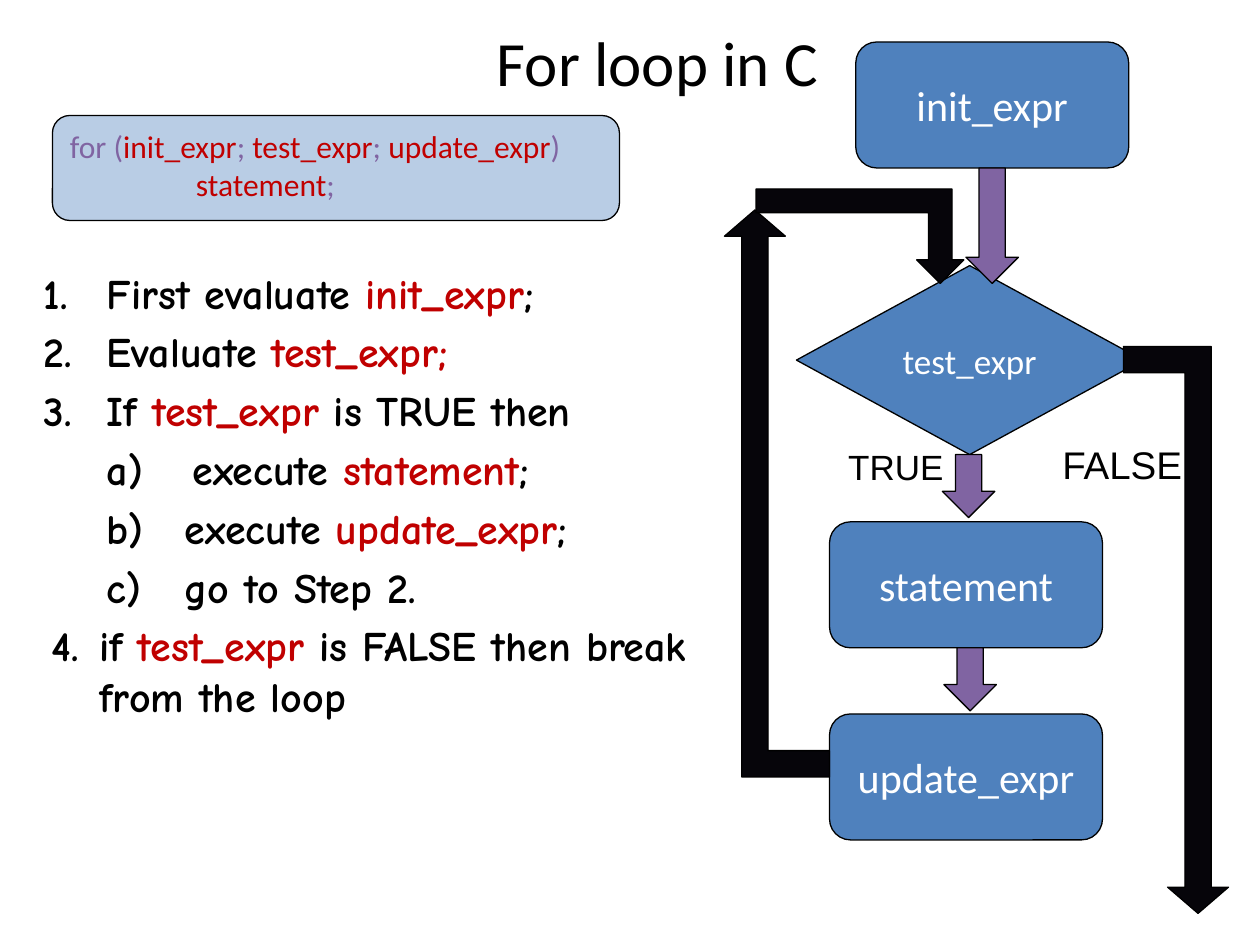
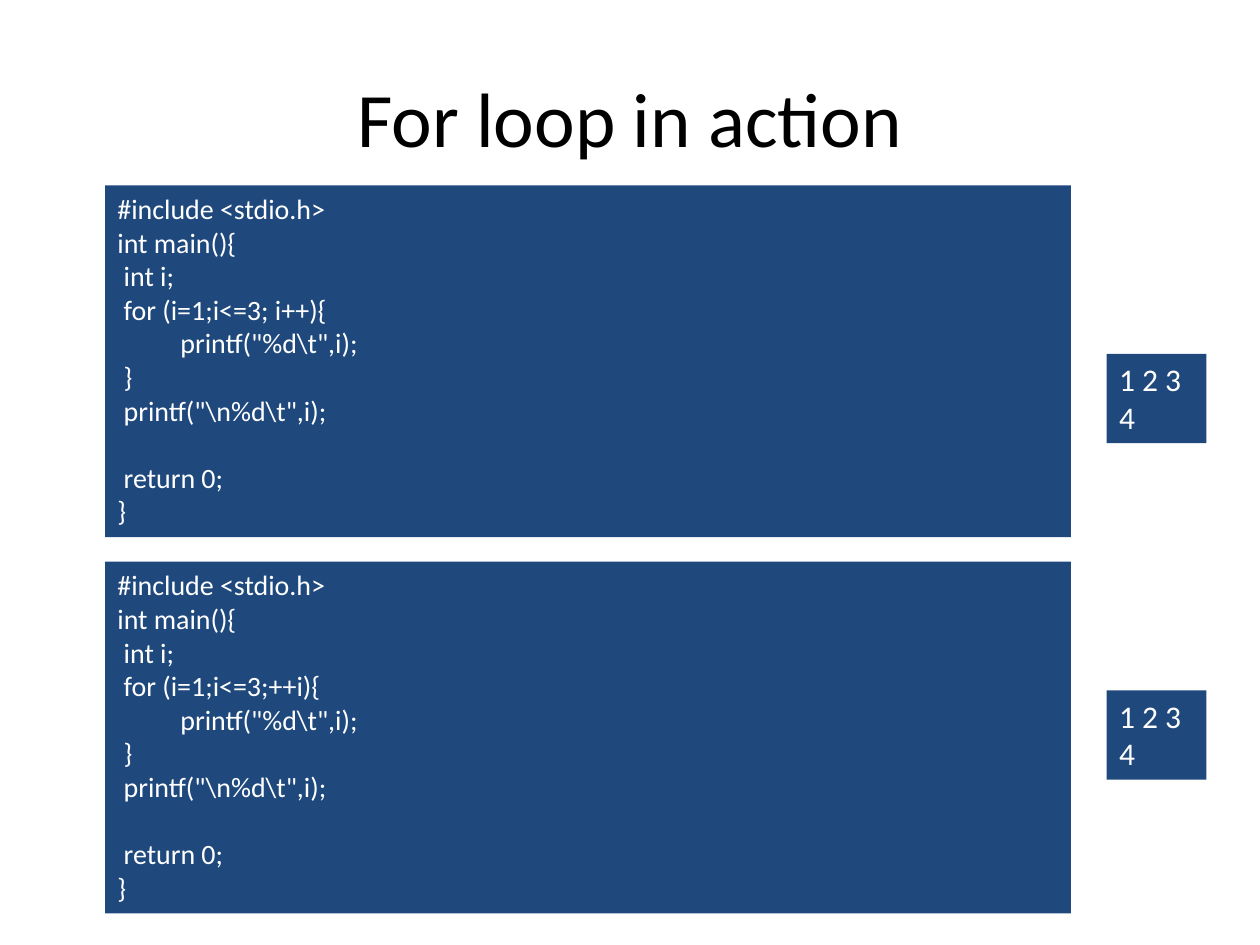
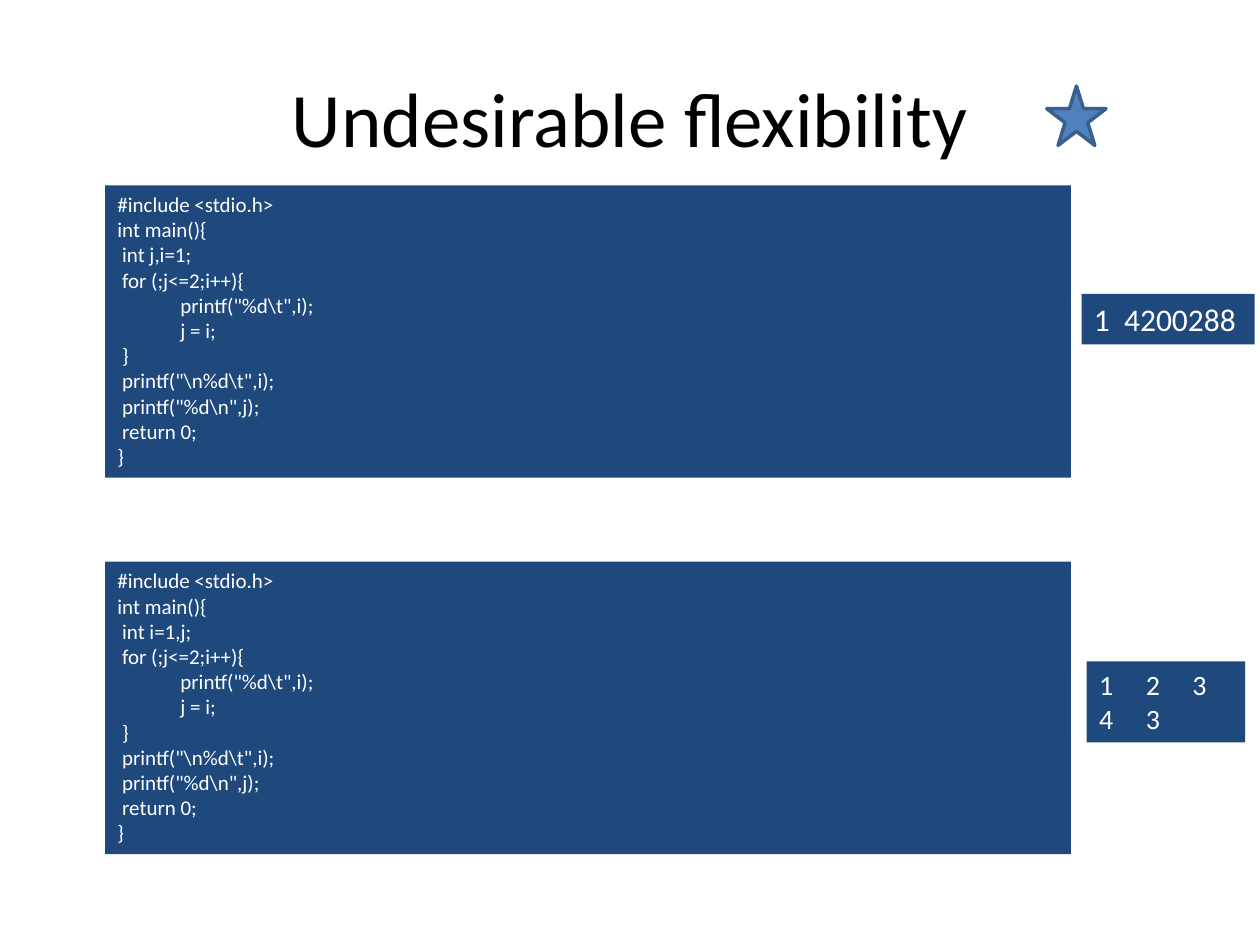
from collections import namedtuple

from lxml.etree import SubElement
from pptx import Presentation
from pptx.dml.color import RGBColor
from pptx.enum.shapes import MSO_SHAPE as Preset
from pptx.enum.text import MSO_ANCHOR as Anchor, PP_ALIGN as Align
from pptx.oxml.ns import qn
from pptx.util import Inches, Pt

CELL = 10 / 24  # the slide is a grid of 24 columns by 18 rows
BLACK, WHITE, RED = "000000", "FFFFFF", "C00000"
BLUE, NAVY, PALE, PURPLE = "4F81BD", "1F497D", "B9CDE5", "8064A2"
LOOP_BLACK, STAR_EDGE = "06050A", "3A5F8C"

COUNTING_CODE = """#include <stdio.h>
int main(){
 int i;
 for (i=1;i<=3;%s){
    \tprintf("%%d\\t",i);
 }
 printf("\\n%%d\\t",i);
 
 return 0;
}"""

UNSET_CODE = """#include <stdio.h>
int main(){
 int %s;
 for (;j<=2;i++){
    \tprintf("%%d\\t",i);
    \tj = i;
 }
 printf("\\n%%d\\t",i);
 printf("%%d\\n",j);
 return 0;
}"""

# text, numbering, level, left margin, hanging indent, first number
STEPS = [
    ("First evaluate *init_expr*;", "arabicPeriod", 0, 0.5, 0.5, 1),
    ("Evaluate *test_expr;*", "arabicPeriod", 0, 0.5, 0.5, 1),
    ("If *test_expr* is TRUE then", "arabicPeriod", 0, 0.5, 0.5, 1),
    ("execute *statement*;", "alphaLcParenR", 1, 1.18, 0.68, 1),
    ("execute *update_expr*;", "alphaLcParenR", 1, 1.12, 0.62, 1),
    ("go to Step 2.", "alphaLcParenR", 1, 1.12, 0.62, 1),
    ("if *test_expr* is FALSE then break from the loop",
     "arabicPeriod", 0, 0.44, 0.38, 4),
]


class Box(namedtuple("Box", "column row columns rows")):
    def inside(self, column, row, columns, rows):
        return Box(self.column + column, self.row + row, columns, rows)

    def lengths(self):
        return [Inches(cells * CELL) for cells in self]


def rgb(value):
    return RGBColor.from_string(value)


def apply(target, **values):
    for name, value in values.items():
        setattr(target, name, value)


def write_line(paragraph, text, size, color, font="Calibri", bold=False,
               align=Align.LEFT):
    """Write text whose parts between asterisks are red."""
    paragraph.alignment = align
    for index, part in enumerate(text.split("*")):
        if part:
            run = paragraph.add_run()
            run.text = part
            apply(run.font, size=Pt(size), name=font, bold=bold)
            run.font.color.rgb = rgb(RED if index % 2 else color)


def write_lines(frame, text, size, color, **style):
    for index, line in enumerate(text.split("\n")):
        paragraph = frame.add_paragraph() if index else frame.paragraphs[0]
        write_line(paragraph, line, size, color, **style)


def indent(paragraph, left, hanging=0):
    properties = paragraph._p.get_or_add_pPr()
    properties.set("marL", str(Inches(left)))
    properties.set("indent", str(-Inches(hanging)))
    return properties


def set_tabs(paragraph, stops):
    tabs = SubElement(paragraph._p.get_or_add_pPr(), qn("a:tabLst"))
    for stop in stops:
        SubElement(tabs, qn("a:tab"), pos=str(Inches(stop)), algn="l")


def add_text(slide, box, text="", size=24, color=BLACK, wrap=True,
             anchor=Anchor.TOP, **style):
    frame = slide.shapes.add_textbox(*box.lengths()).text_frame
    apply(frame, word_wrap=wrap, vertical_anchor=anchor)
    if text:
        write_lines(frame, text, size, color, **style)
    return frame


def add_title(slide, box, text, size):
    add_text(slide, box, text, size, anchor=Anchor.MIDDLE, align=Align.CENTER)


def add_shape(slide, preset, box, fill, line=None, width=0.75,
              anchor=Anchor.TOP):
    shape = slide.shapes.add_shape(preset, *box.lengths())
    shape.shadow.inherit = False
    shape.fill.solid()
    shape.fill.fore_color.rgb = rgb(fill)
    if line:
        shape.line.color.rgb = rgb(line)
        shape.line.width = Pt(width)
    else:
        shape.line.fill.background()
    apply(shape.text_frame, word_wrap=True, vertical_anchor=anchor)
    return shape


def add_node(slide, preset, box, text, size=24):
    node = add_shape(slide, preset, box, BLUE, BLACK, anchor=Anchor.MIDDLE)
    write_lines(node.text_frame, text, size, WHITE, align=Align.CENTER)


def add_bent_arrow(slide, box, flip, adjustments=()):
    arrow = add_shape(slide, Preset.BENT_UP_ARROW, box, LOOP_BLACK, BLACK)
    for index, value in enumerate(adjustments):
        arrow.adjustments[index] = value
    arrow.element.spPr.xfrm.set(flip, "1")


def add_steps(slide, box):
    frame = add_text(slide, box)
    for index, (text, numbering, level, left, hanging, start) in enumerate(STEPS):
        paragraph = frame.add_paragraph() if index else frame.paragraphs[0]
        paragraph.level = level
        if index:
            paragraph.space_before = Pt(4.8)
        number = SubElement(indent(paragraph, left, hanging),
                            qn("a:buAutoNum"), type=numbering)
        if start > 1:
            number.set("startAt", str(start))
        write_line(paragraph, text, 24, BLACK, font="Comic Neue", bold=True)


def add_syntax(slide, box):
    frame = add_shape(slide, Preset.ROUNDED_RECTANGLE, box, PALE, BLACK).text_frame
    write_lines(frame, "for (*init_expr*; *test_expr*; *update_expr*)\n*statement*;",
                18, PURPLE)
    indent(frame.paragraphs[1], 1)


def add_flowchart(slide, box):
    place = box.inside
    long_bend = (0.25, 0.29, 0.25)
    for text, column, row in [("init_expr", 2.5, 0), ("statement", 2, 9.14),
                              ("update_expr", 2, 12.8)]:
        add_node(slide, Preset.ROUNDED_RECTANGLE, place(column, row, 5.2, 2.4), text)
    add_node(slide, Preset.FLOWCHART_DECISION, place(1.37, 4.26, 6.6, 3.6),
             "test_expr", 20)
    for column, row, rows in [(4.6, 2.4, 2.2), (4.15, 7.86, 1.2), (4.18, 11.54, 1.2)]:
        add_shape(slide, Preset.DOWN_ARROW, place(column, row, 1, rows), PURPLE, BLACK)
    add_bent_arrow(slide, place(0, 3.2, 2, 10.8), "flipH", long_bend)
    add_bent_arrow(slide, place(0.6, 2.8, 3.96, 1.8), "flipV")
    add_bent_arrow(slide, place(7.6, 5.8, 2, 10.8), "flipV", long_bend)
    for text, size, spot in [("FALSE", 22, place(6.2, 7.48, 2.78, 1.12)),
                             ("TRUE", 20, place(2.12, 7.56, 2.32, 1.06))]:
        add_text(slide, spot, text, size, wrap=False, font="Arial")


def add_panel(slide, box, text, size, tabs=()):
    frame = add_shape(slide, Preset.RECTANGLE, box, NAVY).text_frame
    write_lines(frame, text, size, WHITE)
    if tabs:
        for paragraph in frame.paragraphs:
            set_tabs(paragraph, tabs)


def build_syntax_slide(slide):
    add_title(slide, Box(1.04, 0.55, 22.96, 1.25), "For loop in C", 36)
    add_steps(slide, Box(0.6, 4.97, 13, 10.8))
    add_syntax(slide, Box(1, 2.2, 10.8, 2))
    add_flowchart(slide, Box(13.8, 0.8, 9.6, 16.6))


def build_code_slide(slide, title, programs, size, rows, outputs):
    add_title(slide, Box(1.2, 0.72, 21.6, 3), title, 44)
    for index, program in enumerate(programs):
        add_panel(slide, Box(2, 3.53 + 7.17 * index, 18.4, rows), program, size)
    for output in outputs:
        add_panel(slide, *output)


def main():
    presentation = Presentation()
    apply(presentation, slide_width=Inches(10), slide_height=Inches(7.5))
    blank = presentation.slide_layouts[6]
    syntax, action, flexibility = [presentation.slides.add_slide(blank)
                                   for _ in range(3)]
    build_syntax_slide(syntax)
    build_code_slide(
        action, "For loop in action",
        [COUNTING_CODE % step for step in (" i++", "++i")], 16, 6.7,
        [(Box(21.08, row, 1.9, 1.7), "1 2 3\n4", 18) for row in (6.74, 13.15)])
    build_code_slide(
        flexibility, "Undesirable flexibility",
        [UNSET_CODE % names for names in ("j,i=1", "i=1,j")], 12, 5.57,
        [(Box(20.6, 5.6, 3.3, 0.96), "1\t4200288", 18, (0.24,)),
         (Box(20.7, 12.6, 3.02, 1.54), "1\t2\t3\n4\t3", 16, (0.37, 0.74))])
    add_shape(flexibility, Preset.STAR_5_POINT, Box(19.94, 1.64, 1.13, 1.13),
              BLUE, STAR_EDGE, 2)
    presentation.save("out.pptx")


if __name__ == "__main__":
    main()
